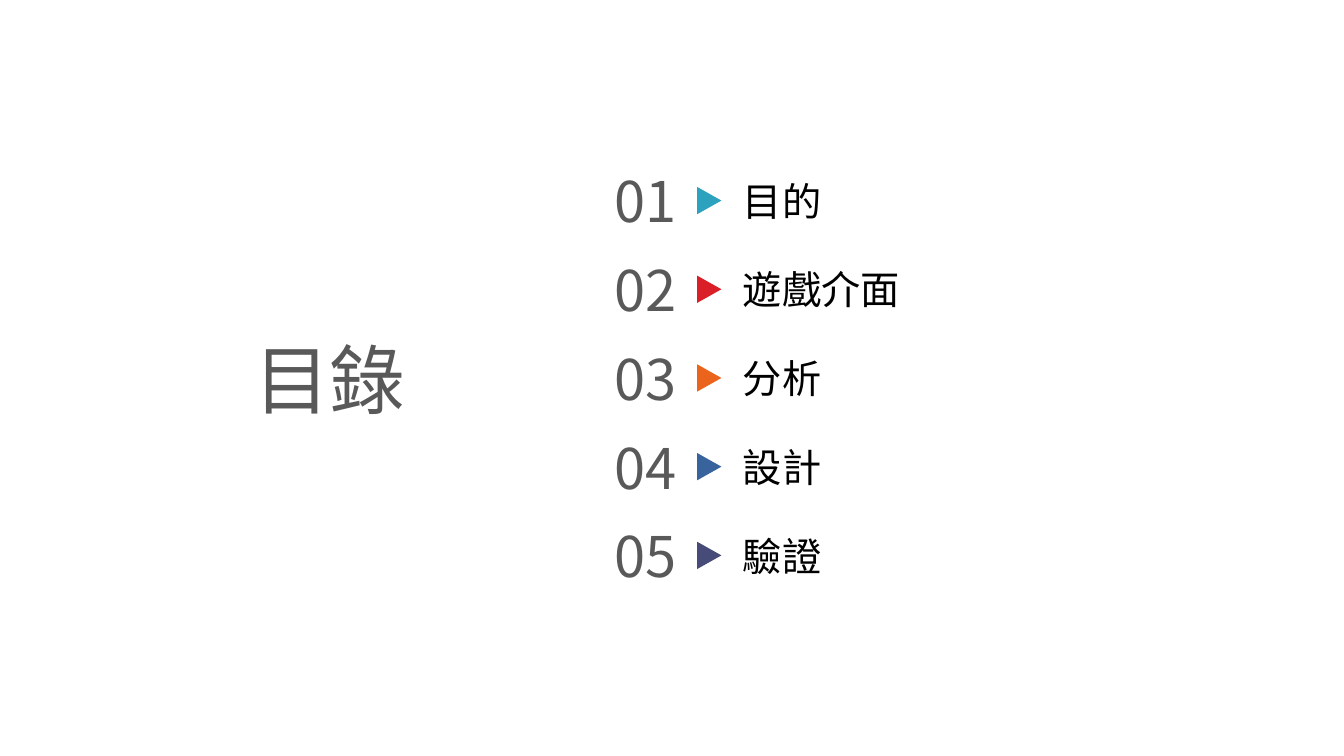
from lxml.etree import SubElement
from pptx import Presentation
from pptx.dml.color import RGBColor
from pptx.enum.shapes import MSO_SHAPE as Shape
from pptx.enum.text import MSO_ANCHOR as Anchor, PP_ALIGN as Align
from pptx.oxml.ns import qn
from pptx.util import Inches, Pt

# Content
TITLE = "目錄"
SECTIONS = [
    ("目的", "teal"),
    ("遊戲介面", "red"),
    ("分析", "orange"),
    ("設計", "blue"),
    ("驗證", "indigo"),
]
COLORS = {
    "gray": "595959", "black": "000000", "teal": "2DA2BF", "red": "DA1F28",
    "orange": "EB641B", "blue": "39639D", "indigo": "474B78",
}
CJK_FONT = "Noto Sans CJK SC"
LABEL_FONT = "Roboto"

# Layout in inches
FIRST_CENTER, ROW_STEP = 1.99, 0.88
NUMBER_LEFT, ARROW_LEFT, LABEL_LEFT = 6, 6.9, 7.27

presentation = Presentation()
presentation.slide_width = Inches(13.33)
presentation.slide_height = Inches(7.5)
slide = presentation.slides.add_slide(presentation.slide_layouts[6])


def add_text(text, left, center, width, height, size, color, font, align=Align.LEFT):
    """Add a one-line text box centred vertically on the given height."""
    box = slide.shapes.add_textbox(
        Inches(left), Inches(center - height / 2), Inches(width), Inches(height))
    frame = box.text_frame
    frame.word_wrap = True
    frame.vertical_anchor = Anchor.MIDDLE
    frame.text = text
    paragraph = frame.paragraphs[0]
    paragraph.alignment = align
    run = paragraph.runs[0]
    run.font.size = Pt(size)
    run.font.name = font
    run.font.color.rgb = RGBColor.from_string(COLORS[color])
    SubElement(run.font._element, qn("a:ea")).set("typeface", CJK_FONT)


def add_arrow(center, color):
    """Add a triangle turned to point right."""
    width, height = 0.27, 0.24
    arrow = slide.shapes.add_shape(
        Shape.ISOSCELES_TRIANGLE, Inches(ARROW_LEFT), Inches(center - height / 2),
        Inches(width), Inches(height))
    arrow.rotation = 90
    arrow.shadow.inherit = False
    arrow.fill.solid()
    arrow.fill.fore_color.rgb = RGBColor.from_string(COLORS[color])
    arrow.line.fill.background()


# Title
add_text(TITLE, 0.66, 3.75, 3.46, 1.01, 54, "gray", CJK_FONT, Align.RIGHT)

# Numbered sections
for index, (label, color) in enumerate(SECTIONS):
    center = FIRST_CENTER + index * ROW_STEP
    add_arrow(center, color)
    add_text(f"{index + 1:02}", NUMBER_LEFT, center, 0.9, 0.77, 40, "gray", CJK_FONT)
    add_text(label, LABEL_LEFT, center, 3.32, 0.57, 28, "black", LABEL_FONT)

presentation.save("out.pptx")
